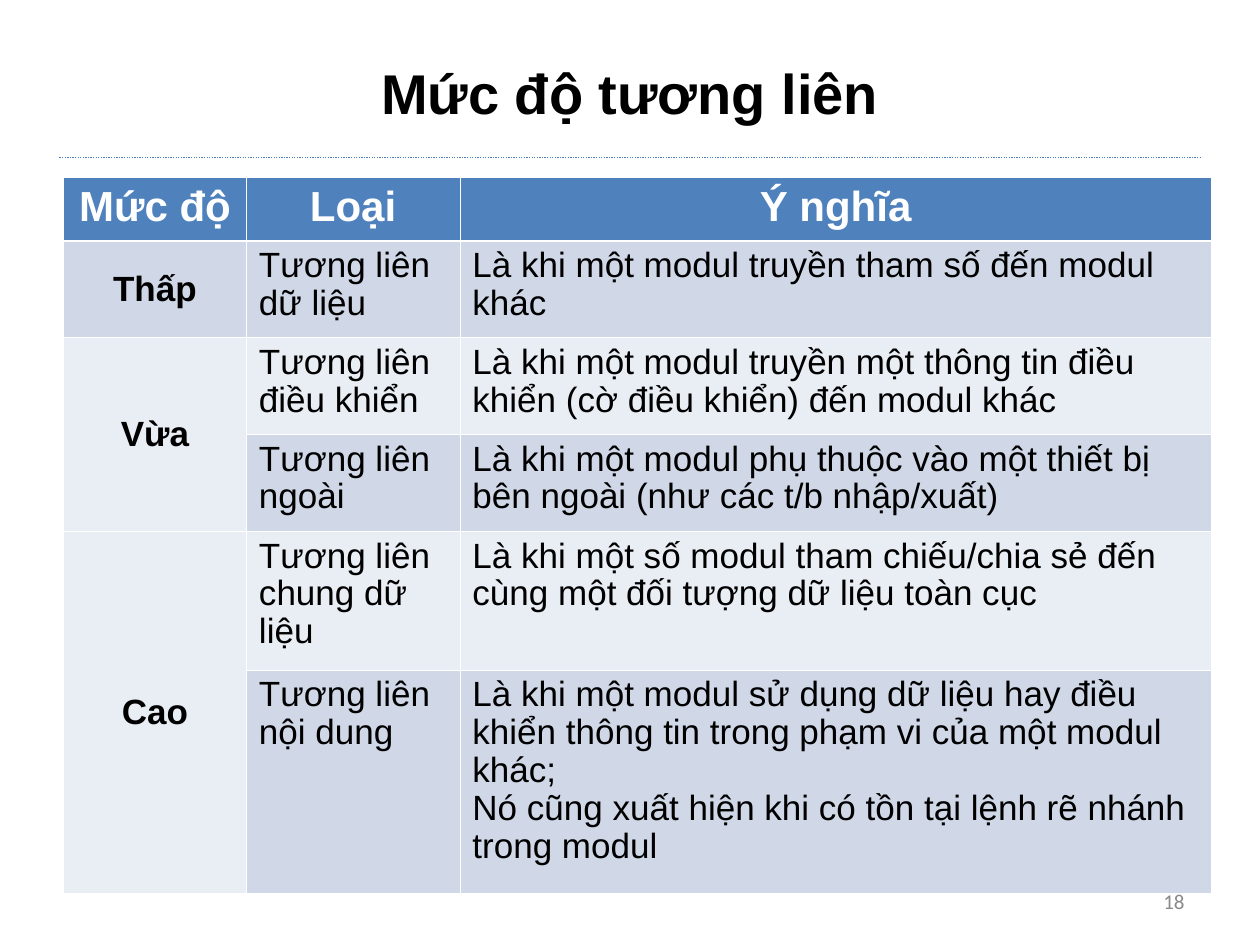
from lxml import etree
from pptx import Presentation
from pptx.dml.color import RGBColor
from pptx.enum import dml, shapes, text
from pptx.oxml import ns
from pptx.util import Pt

HEADER, DARK_BAND, LIGHT_BAND = "4F81BD", "D0D8E8", "E9EDF4"
CENTER, LEFT, RIGHT = text.PP_ALIGN.CENTER, text.PP_ALIGN.LEFT, text.PP_ALIGN.RIGHT
TOP, MIDDLE = text.MSO_ANCHOR.TOP, text.MSO_ANCHOR.MIDDLE

COLUMN_WIDTHS = [104.5, 122, 429.5]
ROW_HEIGHTS = [36, 55.4, 55.4, 55.4, 79.4, 127.4]
HEADINGS = ["Mức độ", "Loại", "Ý nghĩa"]
LEVELS = [
    ("Thấp", [
        ("Tương liên dữ liệu", "Là khi một modul truyền tham số đến modul khác"),
    ]),
    ("Vừa", [
        ("Tương liên điều khiển",
         "Là khi một modul truyền một thông tin điều khiển (cờ điều khiển) đến modul khác"),
        ("Tương liên ngoài",
         "Là khi một modul phụ thuộc vào một thiết bị bên ngoài (như các t/b nhập/xuất)"),
    ]),
    ("Cao", [
        ("Tương liên chung dữ liệu",
         "Là khi một số modul tham chiếu/chia sẻ đến cùng một đối tượng dữ liệu toàn cục"),
        ("Tương liên nội dung",
         "Là khi một modul sử dụng dữ liệu hay điều khiển thông tin trong phạm vi "
         "của một modul khác;\n"
         "Nó cũng xuất hiện khi có tồn tại lệnh rẽ nhánh trong modul"),
    ]),
]


def color(value):
    return RGBColor.from_string(value)


def write(frame, words, size, ink="000000", bold=False, align=LEFT,
          font="Arial", spacing=None):
    frame.text = words
    for paragraph in frame.paragraphs:
        paragraph.alignment = align
        if spacing:
            paragraph.line_spacing = spacing
        formats = {"name": font, "size": Pt(size), "bold": bold}
        for run in paragraph.runs:
            for attribute, value in formats.items():
                setattr(run.font, attribute, value)
            run.font.color.rgb = color(ink)


def set_borders(cell, widths):
    properties = cell._tc.get_or_add_tcPr()
    for side, width in widths.items():
        border = etree.SubElement(properties, ns.qn(f"a:ln{side}"), w=str(int(Pt(width))))
        fill = etree.SubElement(border, ns.qn("a:solidFill"))
        etree.SubElement(fill, ns.qn("a:srgbClr"), val="FFFFFF")


def add_heading(slide, left, top, width, height):
    title = slide.shapes.title
    box = {"left": left, "top": top, "width": width, "height": height}
    for attribute, value in box.items():
        setattr(title, attribute, Pt(value))
    title.text_frame.vertical_anchor = MIDDLE
    write(title.text_frame, "Mức độ tương liên", 32, bold=True, align=CENTER)


def add_rule(slide, left, top, width):
    rule = slide.shapes.add_connector(
        shapes.MSO_CONNECTOR.STRAIGHT, Pt(left), Pt(top), Pt(left + width), Pt(top))
    rule.line.color.rgb = color("4A7EBB")
    rule.line.width = Pt(0.75)
    rule.line.dash_style = dml.MSO_LINE.ROUND_DOT
    etree.SubElement(rule._element.spPr, ns.qn("a:effectLst"))


def add_levels_table(slide, left, top):
    table = slide.shapes.add_table(
        len(ROW_HEIGHTS), len(COLUMN_WIDTHS), Pt(left), Pt(top),
        Pt(sum(COLUMN_WIDTHS)), Pt(sum(ROW_HEIGHTS))).table
    for column, width in zip(table.columns, COLUMN_WIDTHS):
        column.width = Pt(width)
    for row, height in zip(table.rows, ROW_HEIGHTS):
        row.height = Pt(height)

    # Borders and banded fills, with a heavier line below the header
    for r, row in enumerate(table.rows):
        band = HEADER if r == 0 else DARK_BAND if r % 2 else LIGHT_BAND
        for cell in row.cells:
            set_borders(cell, {"L": 0.45, "R": 0.45,
                               "T": 1.47 if r == 1 else 0.45,
                               "B": 1.47 if r == 0 else 0.45})
            cell.fill.solid()
            cell.fill.fore_color.rgb = color(band)

    # Header
    for c, heading in enumerate(HEADINGS):
        write(table.cell(0, c).text_frame, heading, 24, "FFFFFF", True, CENTER)

    # Each level spans the rows of its types
    r = 1
    for level, types in LEVELS:
        level_cell = table.cell(r, 0)
        if len(types) > 1:
            level_cell.merge(table.cell(r + len(types) - 1, 0))
        level_cell.vertical_anchor = MIDDLE
        write(level_cell.text_frame, level, 20, bold=True, align=CENTER)
        for entry in types:
            for c, words in enumerate(entry, start=1):
                table.cell(r, c).vertical_anchor = TOP
                write(table.cell(r, c).text_frame, words, 20, spacing=0.97)
            r += 1


def add_page_number(slide, left, top, width, height):
    number = slide.shapes.add_textbox(Pt(left), Pt(top), Pt(width), Pt(height)).text_frame
    number.word_wrap = True
    number.vertical_anchor = MIDDLE
    write(number, "18", 12, "898989", align=RIGHT, font="Calibri")


def main():
    deck = Presentation()
    deck.slide_width, deck.slide_height = Pt(720), Pt(540)
    slide = deck.slides.add_slide(deck.slide_layouts[5])
    add_rule(slide, 34, 90, 652)
    add_heading(slide, 36, 21.6, 648, 62.6)
    add_levels_table(slide, 36.3, 101.5)
    add_page_number(slide, 516, 500.5, 168, 28.8)
    deck.save("out.pptx")


if __name__ == "__main__":
    main()
